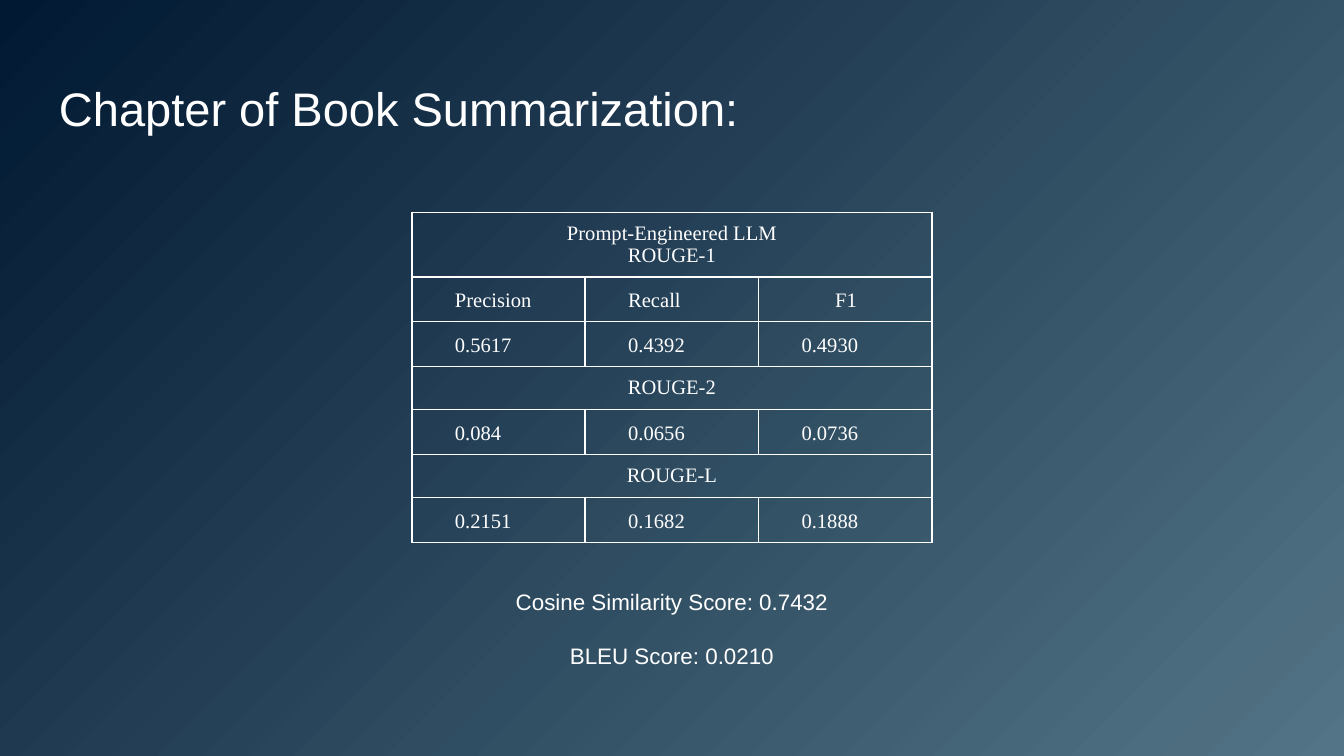
from lxml.etree import fromstring
from pptx import Presentation
from pptx.dml.color import RGBColor
from pptx.enum.text import MSO_AUTO_SIZE, PP_ALIGN
from pptx.oxml.ns import nsdecls
from pptx.util import Inches, Pt

WHITE = "FFFFFF"
PAGE_WIDTH = 10
PAGE_HEIGHT = PAGE_WIDTH * 9 / 16
SCORES = [
    ["Prompt-Engineered LLM\nROUGE-1"],
    ["Precision", "Recall", "F1"],
    ["0.5617", "0.4392", "0.4930"],
    ["ROUGE-2"],
    ["0.084", "0.0656", "0.0736"],
    ["ROUGE-L"],
    ["0.2151", "0.1682", "0.1888"],
]


def color(value):
    return RGBColor.from_string(value)


def centered(width):
    return Inches((PAGE_WIDTH - width) / 2)


class SlideBuilder:
    heading_font = "Arial"
    table_font = "Times New Roman"
    cell_margin = Inches(5 / 72)

    def __init__(self, deck):
        self.page = deck.slides.add_slide(deck.slide_layouts[6])

    def background(self, start, end):
        fill = self.page.background.fill
        fill.gradient()
        fill.gradient_angle = 315
        for stop, value, position in zip(fill.gradient_stops, (start, end), (0, 1)):
            stop.color.rgb = color(value)
            stop.position = position

    def span(self, para, text, size, font):
        span = para.add_run()
        span.text = text
        span.font.size = Pt(size)
        span.font.name = font
        span.font.color.rgb = color(WHITE)

    def text(self, top, width, height, lines, size, align, spacing=1.0, gap=0):
        box = self.page.shapes.add_textbox(
            centered(width), Inches(top), Inches(width), Inches(height))
        frame = box.text_frame
        frame.word_wrap = True
        frame.auto_size = MSO_AUTO_SIZE.NONE
        frame.margin_left = frame.margin_right = Inches(0.1)
        frame.margin_top = frame.margin_bottom = Inches(0.1)
        for index, line in enumerate(lines):
            para = frame.add_paragraph() if index else frame.paragraphs[0]
            para.alignment = align
            para.line_spacing = spacing
            if index:
                para.space_before = para.space_after = Pt(gap)
            self.span(para, line, size, self.heading_font)

    def borders(self, cell, side_width):
        properties = cell._tc.get_or_add_tcPr()
        widths = {"L": side_width, "R": side_width, "T": 1, "B": 1}
        for index, (side, width) in enumerate(widths.items()):
            properties.insert(index, fromstring(
                f'<a:ln{side} {nsdecls("a")} w="{Pt(width)}"><a:solidFill>'
                f'<a:srgbClr val="{WHITE}"/></a:solidFill></a:ln{side}>'))

    def cell_text(self, cell, text, heading):
        frame = cell.text_frame
        for index, line in enumerate(text.split("\n")):
            para = frame.add_paragraph() if index else frame.paragraphs[0]
            if heading:
                para.alignment = PP_ALIGN.CENTER
            else:
                para.line_spacing = 1.15
                properties = para._p.get_or_add_pPr()
                properties.set("marL", str(Inches(0.5)))
                properties.set("indent", str(Inches(0 if text == "F1" else -0.25)))
            self.span(para, line, 11, self.table_font)

    def table(self, top, column_width, row_height, rows):
        columns = max(map(len, rows))
        width = column_width * columns
        frame = self.page.shapes.add_table(
            len(rows), columns, centered(width), Inches(top),
            Inches(width), Inches(row_height * len(rows)))
        table = frame.table
        table.first_row = table.horz_banding = False
        for column in table.columns:
            column.width = Inches(column_width)
        for row_index, row in enumerate(rows):
            table.rows[row_index].height = Inches(row_height)
            heading = len(row) == 1
            for column_index in range(columns):
                cell = table.cell(row_index, column_index)
                cell.margin_left = cell.margin_right = self.cell_margin
                cell.margin_top = cell.margin_bottom = self.cell_margin
                cell.fill.background()
                self.borders(cell, 0.75 if row[0] == "ROUGE-L" else 1)
            if heading:
                table.cell(row_index, 0).merge(table.cell(row_index, columns - 1))
            for column_index, text in enumerate(row):
                self.cell_text(table.cell(row_index, column_index), text, heading)


def main():
    deck = Presentation()
    deck.slide_width = Inches(PAGE_WIDTH)
    deck.slide_height = Inches(PAGE_HEIGHT)
    builder = SlideBuilder(deck)
    builder.background("011932", "537486")
    builder.text(0.49, 9.32, 0.63, ["Chapter of Book Summarization:"],
                 25.2, PP_ALIGN.LEFT)
    builder.table(1.58, 1.29, 0.32, SCORES)
    builder.text(4.25, 3.87, 0.8,
                 ["Cosine Similarity Score: 0.7432", "BLEU Score: 0.0210"],
                 12, PP_ALIGN.CENTER, spacing=1.15, gap=12)
    deck.save("out.pptx")


if __name__ == "__main__":
    main()
